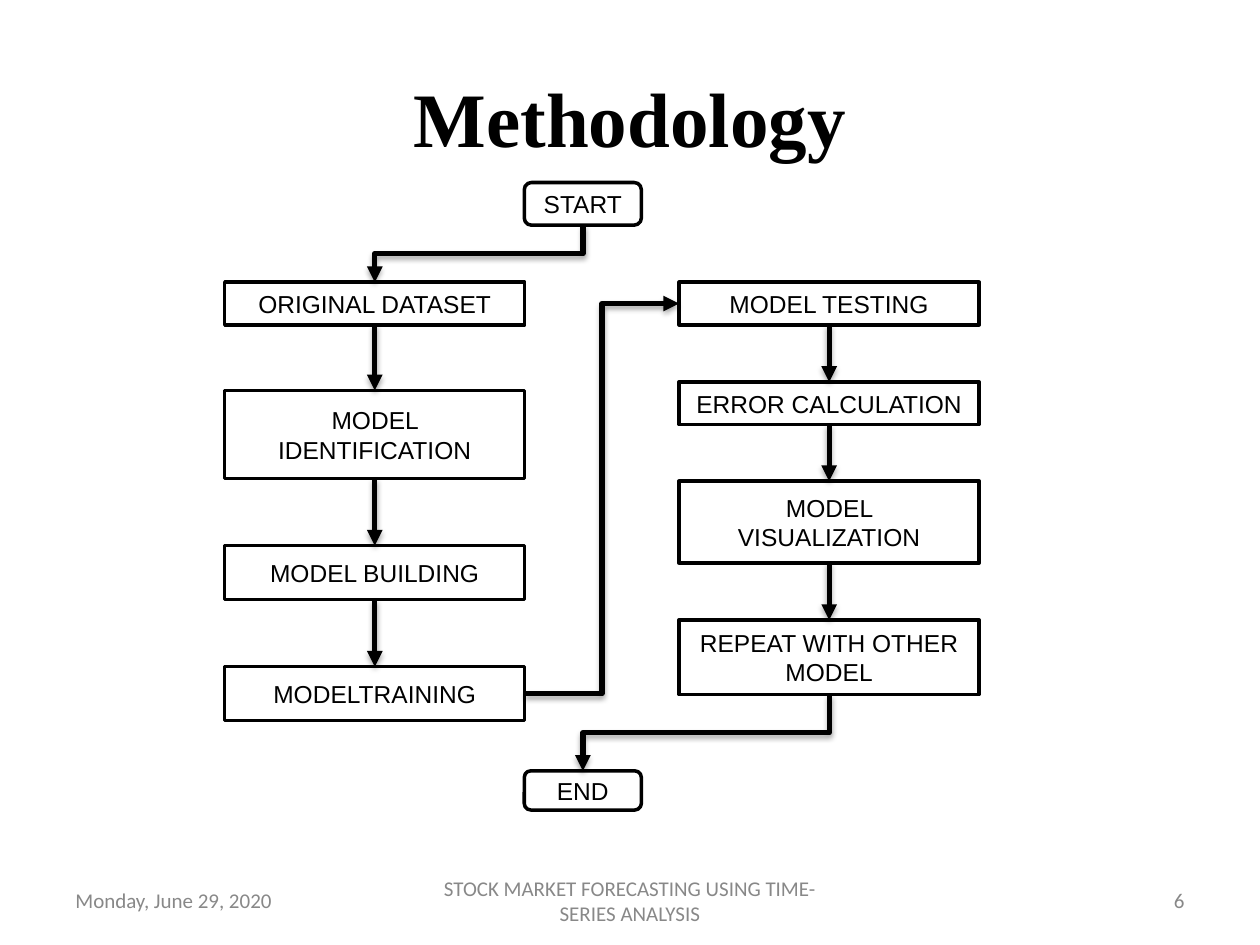
"""Build the methodology flowchart slide."""
from lxml import etree
from pptx import Presentation
from pptx.dml.color import RGBColor
from pptx.enum import shapes, text
from pptx.oxml import ns
from pptx.util import Cm, Pt

BLACK = RGBColor(0, 0, 0)
WHITE = RGBColor(255, 255, 255)
GREY = RGBColor(0x88, 0x88, 0x88)
TOP, LEFT, BOTTOM, RIGHT = range(4)
COLUMN_WIDTH = 6.05
LEFT_COLUMN, RIGHT_COLUMN = 4.53, 13.69
LEFT_STEPS = [
    ("ORIGINAL DATASET", 5.69, 0.86),
    ("MODEL IDENTIFICATION", 7.87, 1.78),
    ("MODEL BUILDING", 11, 1.09),
    ("MODELTRAINING", 13.44, 1.09),
]
RIGHT_STEPS = [
    ("MODEL TESTING", 5.69, 0.86),
    ("ERROR CALCULATION", 7.7, 0.86),
    ("MODEL VISUALIZATION", 9.7, 1.65),
    ("REPEAT WITH OTHER MODEL", 12.5, 1.5),
]


def write(box, wording, font_name, size, color, align=text.PP_ALIGN.CENTER):
    """Put one formatted, vertically centred paragraph into a box."""
    frame = box.text_frame
    frame.word_wrap = True
    frame.vertical_anchor = text.MSO_ANCHOR.MIDDLE
    para = frame.paragraphs[0]
    para.text = wording
    para.alignment = align
    para.font.name = font_name
    para.font.size = Pt(size)
    para.font.color.rgb = color
    return para


def add_title(slide, wording):
    """Fill and place the title placeholder."""
    title = slide.shapes.title
    title.left, title.top = Cm(1.27), Cm(0.76)
    title.width, title.height = Cm(22.86), Cm(3.18)
    write(title, wording, "Times New Roman", 44, BLACK).font.bold = True


def add_box(slide, kind, wording, left, top, width, height):
    """Add an outlined flowchart box."""
    box = slide.shapes.add_shape(kind, Cm(left), Cm(top), Cm(width), Cm(height))
    box.shadow.inherit = False
    box.fill.solid()
    box.fill.fore_color.rgb = WHITE
    box.line.color.rgb = BLACK
    box.line.width = Pt(2)
    write(box, wording, "Arial", 14, BLACK)
    return box


def add_terminal(slide, wording, top, height):
    """Add a rounded start or end box."""
    kind = shapes.MSO_SHAPE.ROUNDED_RECTANGLE
    return add_box(slide, kind, wording, 10.57, top, 2.36, height)


def add_arrow(slide, source, target, kind=shapes.MSO_CONNECTOR.STRAIGHT,
              start=BOTTOM, finish=TOP):
    """Link two boxes with a shadowed arrow."""
    arrow = slide.shapes.add_connector(kind, 0, 0, 0, 0)
    arrow.begin_connect(source, start)
    arrow.end_connect(target, finish)
    arrow.line.color.rgb = BLACK
    arrow.line.width = Pt(3)
    line = arrow.line._get_or_add_ln()
    etree.SubElement(line, ns.qn("a:tailEnd"), type="triangle")
    effects = etree.SubElement(arrow._element.spPr, ns.qn("a:effectLst"))
    shadow = etree.SubElement(effects, ns.qn("a:outerShdw"), blurRad="40000",
                              dist="23000", dir="5400000", rotWithShape="0")
    color = etree.SubElement(shadow, ns.qn("a:srgbClr"), val="000000")
    etree.SubElement(color, ns.qn("a:alpha"), val="35000")
    return arrow


def add_drop_arrow(slide, source, target):
    """Link two boxes by an elbow that goes down, left and down."""
    arrow = add_arrow(slide, source, target, shapes.MSO_CONNECTOR.ELBOW)
    across, down = arrow.width, arrow.height
    center_x, center_y = arrow.left + across // 2, arrow.top + down // 2
    arrow.left, arrow.top = center_x - down // 2, center_y - across // 2
    arrow.width, arrow.height = down, across
    frame = arrow._element.spPr.xfrm
    frame.attrib.pop("flipH", None)
    frame.set("rot", "5400000")


def add_column(slide, left, steps):
    """Stack step boxes in a column and link each to the next."""
    boxes = [add_box(slide, shapes.MSO_SHAPE.RECTANGLE, wording, left, top,
                     COLUMN_WIDTH, height) for wording, top, height in steps]
    for source, target in zip(boxes, boxes[1:]):
        add_arrow(slide, source, target)
    return boxes


def add_footer(slide, wording, left, width, align):
    """Add one grey text at the foot of the slide."""
    box = slide.shapes.add_textbox(Cm(left), Cm(17.65), Cm(width), Cm(1.01))
    write(box, wording, "Calibri", 12, GREY, align)


def main():
    """Build and save the deck."""
    deck = Presentation()
    deck.slide_width, deck.slide_height = Cm(25.4), Cm(19.05)
    slide = deck.slides.add_slide(deck.slide_layouts[5])
    add_title(slide, "Methodology")
    start = add_terminal(slide, "START", 3.68, 0.86)
    end = add_terminal(slide, "END", 15.54, 0.79)
    left_boxes = add_column(slide, LEFT_COLUMN, LEFT_STEPS)
    right_boxes = add_column(slide, RIGHT_COLUMN, RIGHT_STEPS)
    add_drop_arrow(slide, start, left_boxes[0])
    add_arrow(slide, left_boxes[-1], right_boxes[0],
              shapes.MSO_CONNECTOR.ELBOW, RIGHT, LEFT)
    add_drop_arrow(slide, right_boxes[-1], end)
    add_footer(slide, "Monday, June 29, 2020", 1.27, 5.92, text.PP_ALIGN.LEFT)
    add_footer(slide, "STOCK MARKET FORECASTING USING TIME-SERIES ANALYSIS",
               8.68, 8.04, text.PP_ALIGN.CENTER)
    add_footer(slide, "6", 18.21, 5.92, text.PP_ALIGN.RIGHT)
    deck.save("out.pptx")


main()
